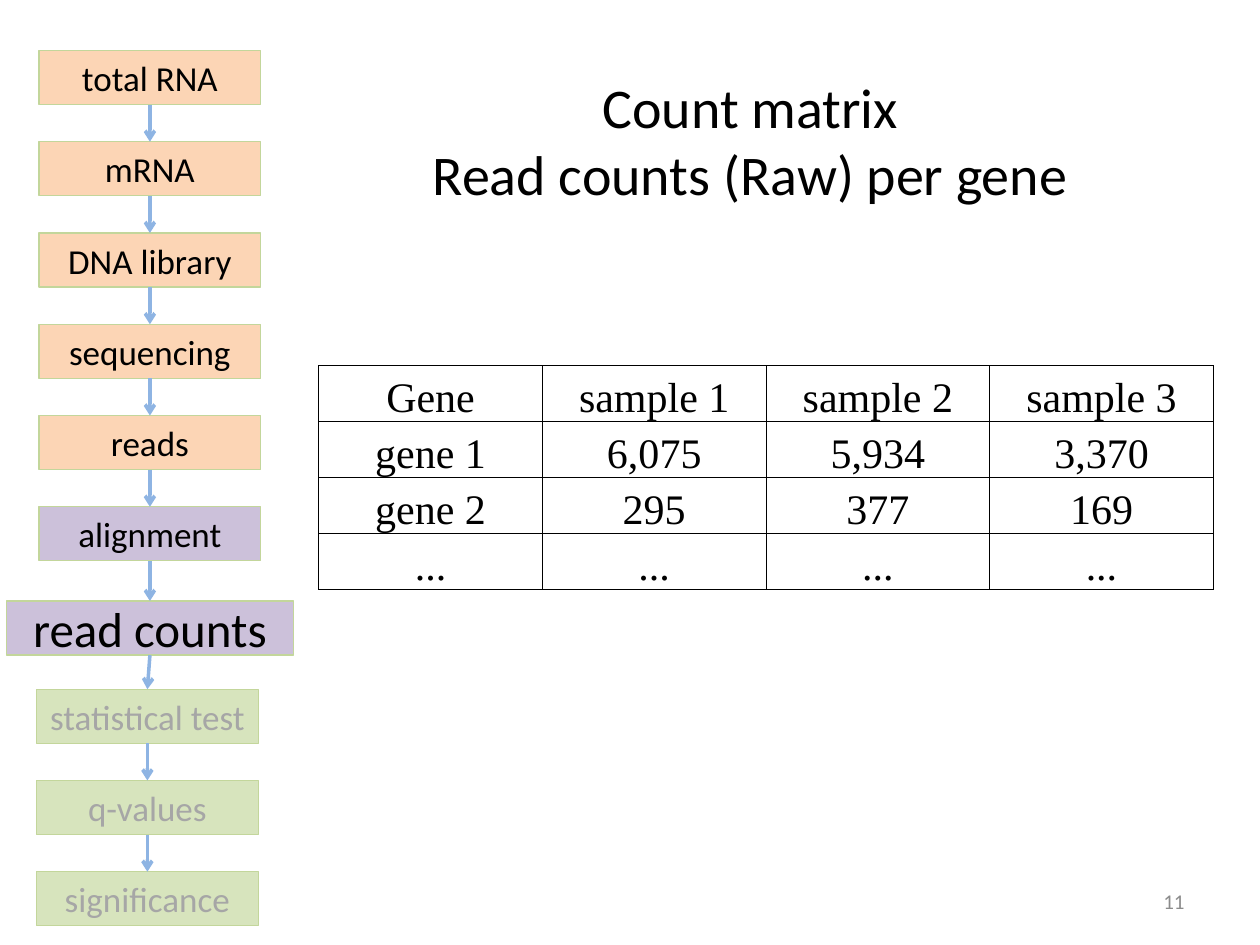
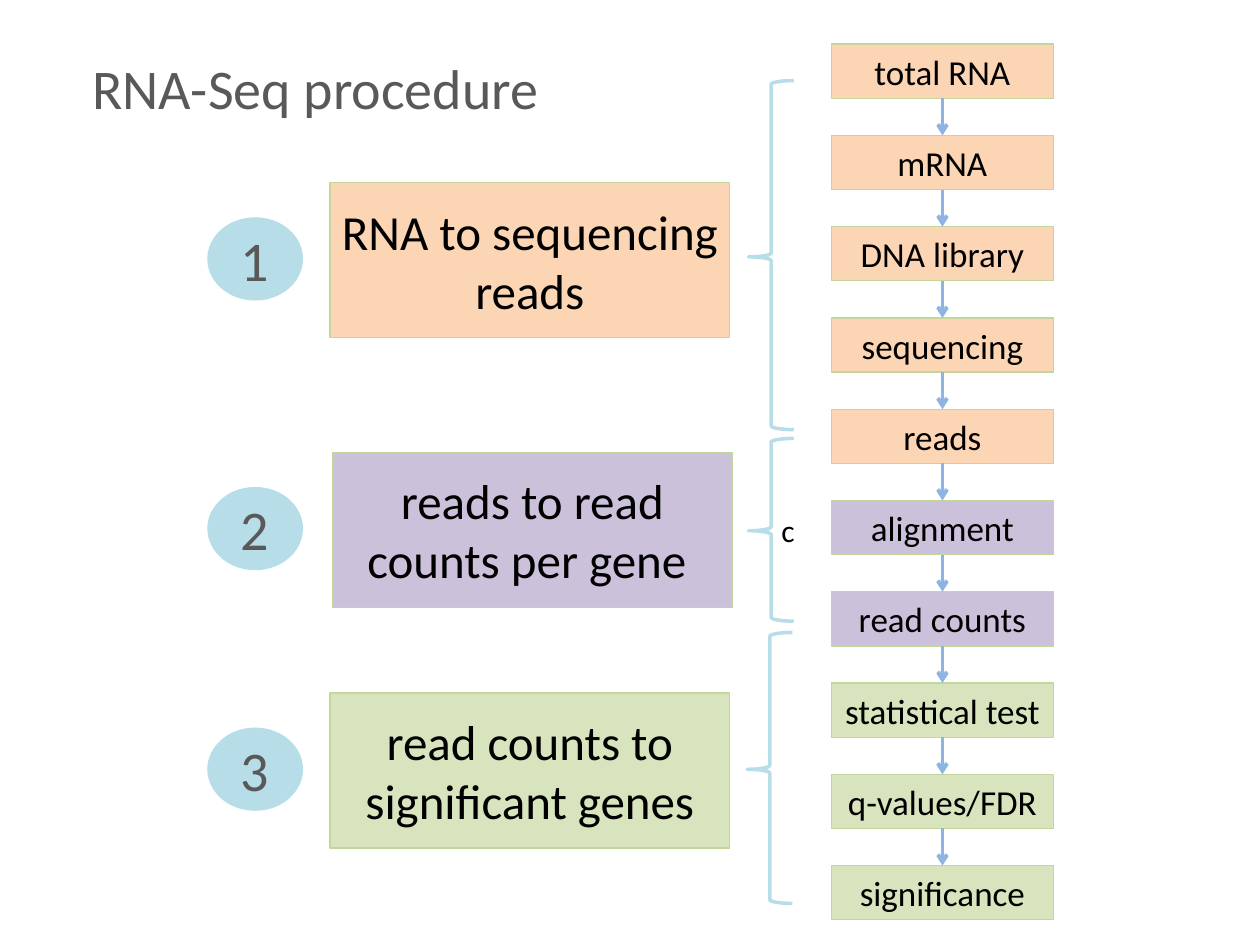
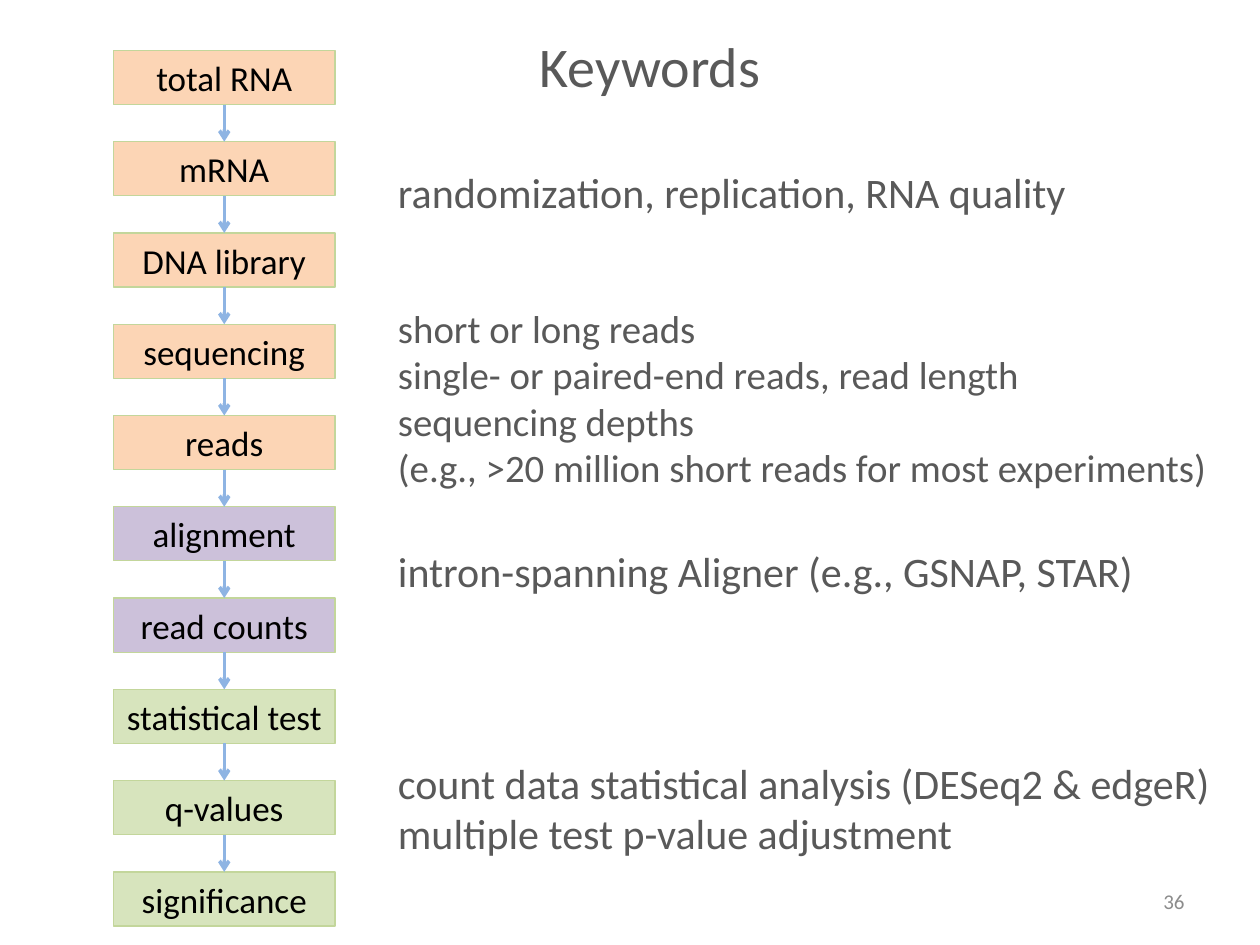
from lxml.etree import SubElement
from pptx import Presentation
from pptx.dml.color import RGBColor
from pptx.enum.shapes import MSO_CONNECTOR, MSO_SHAPE
from pptx.enum.text import MSO_ANCHOR, PP_ALIGN
from pptx.oxml.ns import qn
from pptx.util import Inches, Pt

PEACH, MAUVE, GREEN = "FCD5B5", "CCC1DA", "D7E4BD"
EDGE, ARROW, AQUA = "C3D69B", "8EB4E3", "B7DEE8"
BLACK, DARK, GRAY, FADED = "000000", "595959", "8C8C8C", "A6A6A6"
STEPS = [
    ("total RNA", PEACH), ("mRNA", PEACH), ("DNA library", PEACH),
    ("sequencing", PEACH), ("reads", PEACH), ("alignment", MAUVE),
    ("read counts", MAUVE), ("statistical test", GREEN),
    ("q-values", GREEN), ("significance", GREEN),
]
PITCH = 6.52 / 9


def color(code):
    return RGBColor.from_string(code)


def write(frame, text, size=20, ink=BLACK, font="Calibri",
          align=PP_ALIGN.CENTER):
    lines = [text] if isinstance(text, str) else text
    for i, line in enumerate(lines):
        para = frame.add_paragraph() if i else frame.paragraphs[0]
        para.text = line
        para.alignment = align
        for run in para.runs:
            run.font.size = Pt(size)
            run.font.name = font
            run.font.color.rgb = color(ink)


class Deck:
    def __init__(self):
        self.prs = Presentation()
        self.prs.slide_width = Inches(10)
        self.prs.slide_height = Inches(7.5)
        self.slide = None

    def start(self):
        self.slide = self.prs.slides.add_slide(self.prs.slide_layouts[6])

    def text(self, text, spot, **form):
        box = self.slide.shapes.add_textbox(*map(Inches, spot))
        frame = box.text_frame
        frame.word_wrap = True
        frame.vertical_anchor = MSO_ANCHOR.MIDDLE
        write(frame, text, **form)

    def title(self, text, spot, ink=DARK):
        self.text(text, spot, size=32, ink=ink)

    def number(self, text):
        self.text(text, (7.17, 6.95, 2.33, 0.4), size=12, ink=GRAY,
                  align=PP_ALIGN.RIGHT)

    def shape(self, kind, spot, edge, width):
        shape = self.slide.shapes.add_shape(kind, *map(Inches, spot))
        shape.shadow.inherit = False
        shape.line.color.rgb = color(edge)
        shape.line.width = Pt(width)
        shape.text_frame.word_wrap = True
        shape.text_frame.vertical_anchor = MSO_ANCHOR.MIDDLE
        return shape

    def box(self, text, spot, fill, kind=MSO_SHAPE.RECTANGLE, edge=EDGE,
            **form):
        box = self.shape(kind, spot, edge, 0.75)
        box.fill.solid()
        box.fill.fore_color.rgb = color(fill)
        frame = box.text_frame
        frame.margin_left = frame.margin_right = 0
        frame.margin_top = frame.margin_bottom = 0
        write(frame, text, **form)
        return box

    def badge(self, text, spot):
        self.box(text, spot, AQUA, MSO_SHAPE.OVAL, AQUA, size=32, ink=DARK)

    def brace(self, spot, text=None):
        brace = self.shape(MSO_SHAPE.LEFT_BRACE, spot, AQUA, 2)
        brace.fill.background()
        brace.adjustments[0] = 0.083
        brace.adjustments[1] = 0.505
        if text:
            write(brace.text_frame, text, size=18)

    def arrow(self, above, below):
        link = self.slide.shapes.add_connector(
            MSO_CONNECTOR.STRAIGHT, 0, 0, 0, 0)
        link.begin_connect(above, 2)
        link.end_connect(below, 0)
        link.line.color.rgb = color(ARROW)
        link.line.width = Pt(2)
        SubElement(link.line._get_or_add_ln(), qn("a:tailEnd"), type="arrow")
        SubElement(link._element.spPr, qn("a:effectLst"))

    def flow(self, left, top, swaps=None):
        boxes = []
        for i, (name, fill) in enumerate(STEPS):
            form = dict(text=name, fill=fill,
                        spot=(left, top + i * PITCH, 1.76, 0.43))
            form.update((swaps or {}).get(name, {}))
            boxes.append(self.box(**form))
        for above, below in zip(boxes, boxes[1:]):
            self.arrow(above, below)

    def table(self, rows, left, top):
        wide, high = 3.55, 1.78
        grid = self.slide.shapes.add_table(
            len(rows), len(rows[0]), Inches(left), Inches(top),
            Inches(wide), Inches(high)).table
        grid.first_row = grid.horz_banding = False
        for row, texts in zip(grid.rows, rows):
            for cell, text in zip(row.cells, texts):
                self.cell(cell, text)

    def cell(self, cell, text):
        cell.margin_left = cell.margin_right = cell.margin_top = Inches(0.01)
        cell.margin_bottom = 0
        cell.vertical_anchor = MSO_ANCHOR.BOTTOM
        write(cell.text_frame, text, size=24, font="Times New Roman")
        props = cell._tc.get_or_add_tcPr()
        for side in "LRTB":
            line = SubElement(props, qn(f"a:ln{side}"), w=str(Pt(0.5)))
            fill = SubElement(line, qn("a:solidFill"))
            SubElement(fill, qn("a:srgbClr"), val=BLACK)
        cell.fill.background()


def counts(deck):
    deck.start()
    deck.table([("Gene", "sample 1"), ("gene 1", "6,075"),
                ("gene 2", "295"), ("...", "...")], 2.53, 2.9)
    deck.title("Count matrix\nRead counts (Raw) per gene",
               (2.71, 0.48, 6.49, 1.25), ink=BLACK)
    deck.table([("sample 2", "sample 3"), ("5,934", "3,370"),
                ("377", "169"), ("...", "...")], 6.08, 2.9)
    deck.number("11")
    swaps = {"read counts": dict(spot=(0.05, 4.77, 2.28, 0.43), size=28)}
    for i, (name, _) in enumerate(STEPS[7:]):
        swaps[name] = dict(spot=(0.29, 5.47 + i * PITCH, 1.76, 0.43),
                           ink=FADED)
    deck.flow(0.31, 0.4, swaps)


def stages(deck):
    deck.start()
    deck.flow(6.6, 0.35, {"q-values": dict(text="q-values/FDR")})
    deck.title("RNA-Seq procedure", (0.5, 0.3, 4.01, 0.78))
    parts = [
        ("RNA to sequencing reads", PEACH, 2.62, 1.45,
         (5.94, 0.64, 0.36, 2.77), None),
        ("reads to read counts per gene ", MAUVE, 2.64, 3.59,
         (5.94, 3.48, 0.36, 1.45), "c"),
        ("read counts to significant genes", GREEN, 2.62, 5.5,
         (5.93, 5.02, 0.36, 2.15), None),
    ]
    for i, (text, fill, left, top, span, mark) in enumerate(parts, 1):
        deck.box(text, (left, top, 3.17, 1.23), fill, size=28)
        deck.brace(span, mark)
        deck.badge(str(i), (1.65, top + 0.28, 0.75, 0.65))


def keywords(deck):
    deck.start()
    deck.flow(0.9, 0.4)
    deck.title("Keywords", (3.53, 0.2, 3.26, 0.63))
    notes = [
        ("randomization, replication, RNA quality", 1.21, 5.86, 0.63, 24),
        (["short or long reads", "single- or paired-end reads, read length",
          "sequencing depths",
          "(e.g., >20 million short reads for most experiments)"],
         2.29, 6.81, 1.73, 22.2),
        ("intron-spanning Aligner (e.g., GSNAP, STAR)", 4.02, 6.44, 1.02, 24),
        (["count data statistical analysis (DESeq2 & edgeR)",
          "multiple test p-value adjustment"], 5.9, 6.81, 1.02, 24),
    ]
    for text, top, wide, high, size in notes:
        deck.text(text, (3.06, top, wide, high), size=size, ink=DARK,
                  align=PP_ALIGN.LEFT)
    deck.number("36")


def main():
    deck = Deck()
    counts(deck)
    stages(deck)
    keywords(deck)
    deck.prs.save("out.pptx")


if __name__ == "__main__":
    main()
